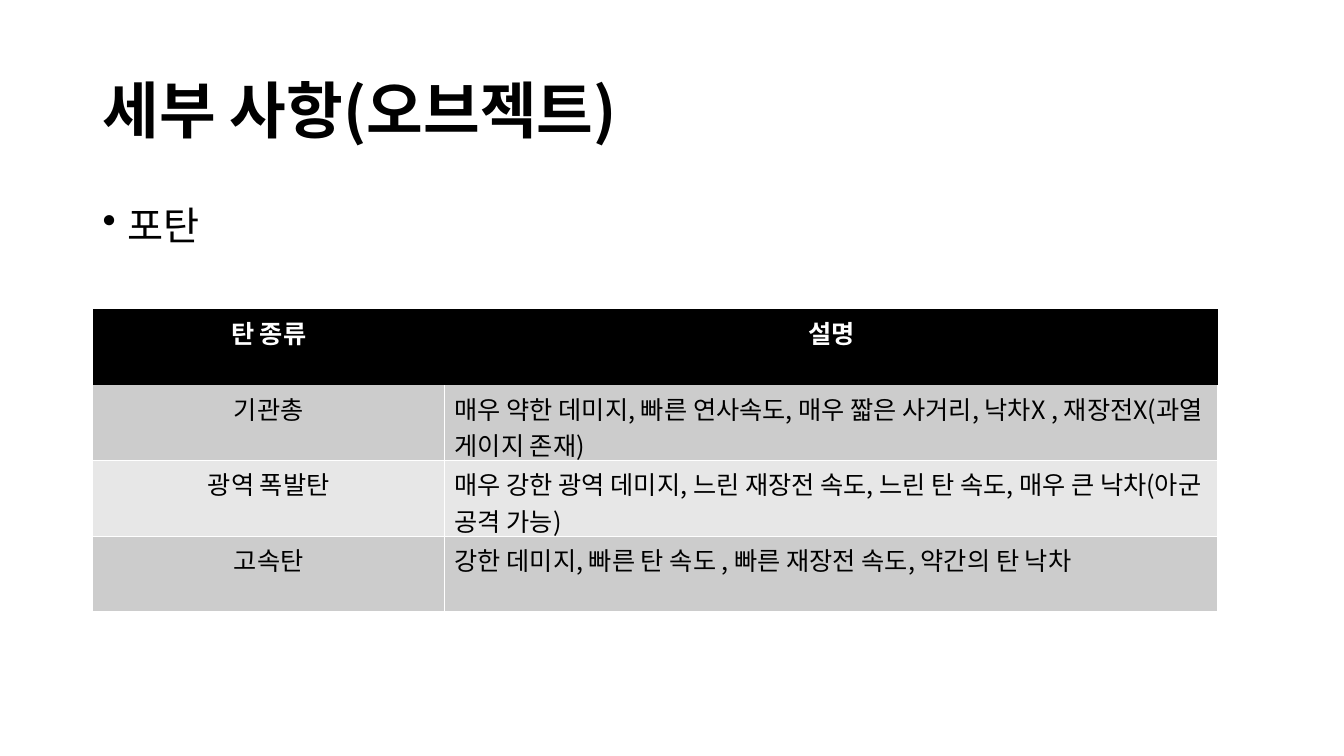
from dataclasses import dataclass

from lxml import etree
from pptx import Presentation
from pptx.dml.color import RGBColor
from pptx.enum.text import MSO_ANCHOR, PP_ALIGN
from pptx.oxml.ns import qn
from pptx.util import Inches, Pt

LEFT, CENTER = PP_ALIGN.LEFT, PP_ALIGN.CENTER
MIDDLE = MSO_ANCHOR.MIDDLE


@dataclass(frozen=True)
class Theme:
    font: str = "Noto Sans CJK KR"
    black: str = "000000"
    white: str = "FFFFFF"
    bands: tuple = ("CCCCCC", "E7E7E7")
    title_size: int = 44
    topic_size: int = 28
    table_size: int = 18
    border_width: int = 1


THEME = Theme()


def write(frame, text, *, size, color=THEME.black, bold=False, align=LEFT,
          line_spacing=None, bullet=None):
    frame.word_wrap = True
    paragraph = frame.paragraphs[0]
    paragraph.alignment = align
    if line_spacing:
        paragraph.line_spacing = line_spacing
    if bullet:
        properties = paragraph._p.get_or_add_pPr()
        properties.set("marL", str(Inches(0.25)))
        properties.set("indent", str(Inches(-0.25)))
        etree.SubElement(properties, qn("a:buChar")).set("char", bullet)
    run = paragraph.add_run()
    run.text = text
    run.font.size = Pt(size)
    run.font.bold = bold
    run.font.name = THEME.font
    run.font.color.rgb = RGBColor.from_string(color)
    etree.SubElement(run._r.get_or_add_rPr(), qn("a:ea")).set("typeface", THEME.font)


def set_borders(cell, visible_sides):
    properties = cell._tc.get_or_add_tcPr()
    for side in "LRTB":
        line = etree.SubElement(properties, qn(f"a:ln{side}"))
        if side in visible_sides:
            line.set("w", str(Pt(THEME.border_width)))
            fill = etree.SubElement(line, qn("a:solidFill"))
            etree.SubElement(fill, qn("a:srgbClr")).set("val", THEME.white)
        else:
            etree.SubElement(line, qn("a:noFill"))


presentation = Presentation()
presentation.slide_width = Inches(13.33)
presentation.slide_height = Inches(7.5)
slide = presentation.slides.add_slide(presentation.slide_layouts[6])

# Topic
topic = slide.shapes.add_textbox(Inches(0.92), Inches(2), Inches(11.5), Inches(4.76))
write(topic.text_frame, "포탄", size=THEME.topic_size, line_spacing=0.9, bullet="•")

# Title
title = slide.shapes.add_textbox(Inches(0.92), Inches(0.4), Inches(11.5), Inches(1.45))
title.text_frame.vertical_anchor = MIDDLE
write(title.text_frame, "세부 사항(오브젝트)", size=THEME.title_size, bold=True, line_spacing=0.9)

# Shell types and their descriptions
shell_rows = [
    ("탄 종류", "설명"),
    ("기관총", "매우 약한 데미지, 빠른 연사속도, 매우 짧은 사거리, 낙차X , 재장전X(과열 게이지 존재)"),
    ("광역 폭발탄", "매우 강한 광역 데미지, 느린 재장전 속도, 느린 탄 속도, 매우 큰 낙차(아군 공격 가능)"),
    ("고속탄", "강한 데미지, 빠른 탄 속도 , 빠른 재장전 속도, 약간의 탄 낙차"),
]
shells = slide.shapes.add_table(len(shell_rows), 2, Inches(0.92), Inches(3.07),
                                Inches(11.16), Inches(3.01)).table
for column, width in zip(shells.columns, (3.49, 7.67)):
    column.width = Inches(width)

for row_index, row in enumerate(shell_rows):
    shells.rows[row_index].height = Inches(0.75)
    is_header = row_index == 0
    background = THEME.black if is_header else THEME.bands[(row_index - 1) % 2]
    visible_sides = ("", "LRB")[row_index] if row_index < 2 else "LRTB"
    for column_index, text in enumerate(row):
        cell = shells.cell(row_index, column_index)
        set_borders(cell, visible_sides)
        cell.fill.solid()
        cell.fill.fore_color.rgb = RGBColor.from_string(background)
        write(cell.text_frame, text, size=THEME.table_size, bold=is_header,
              color=THEME.white if is_header else THEME.black,
              align=CENTER if is_header or column_index == 0 else LEFT)

presentation.save("out.pptx")
